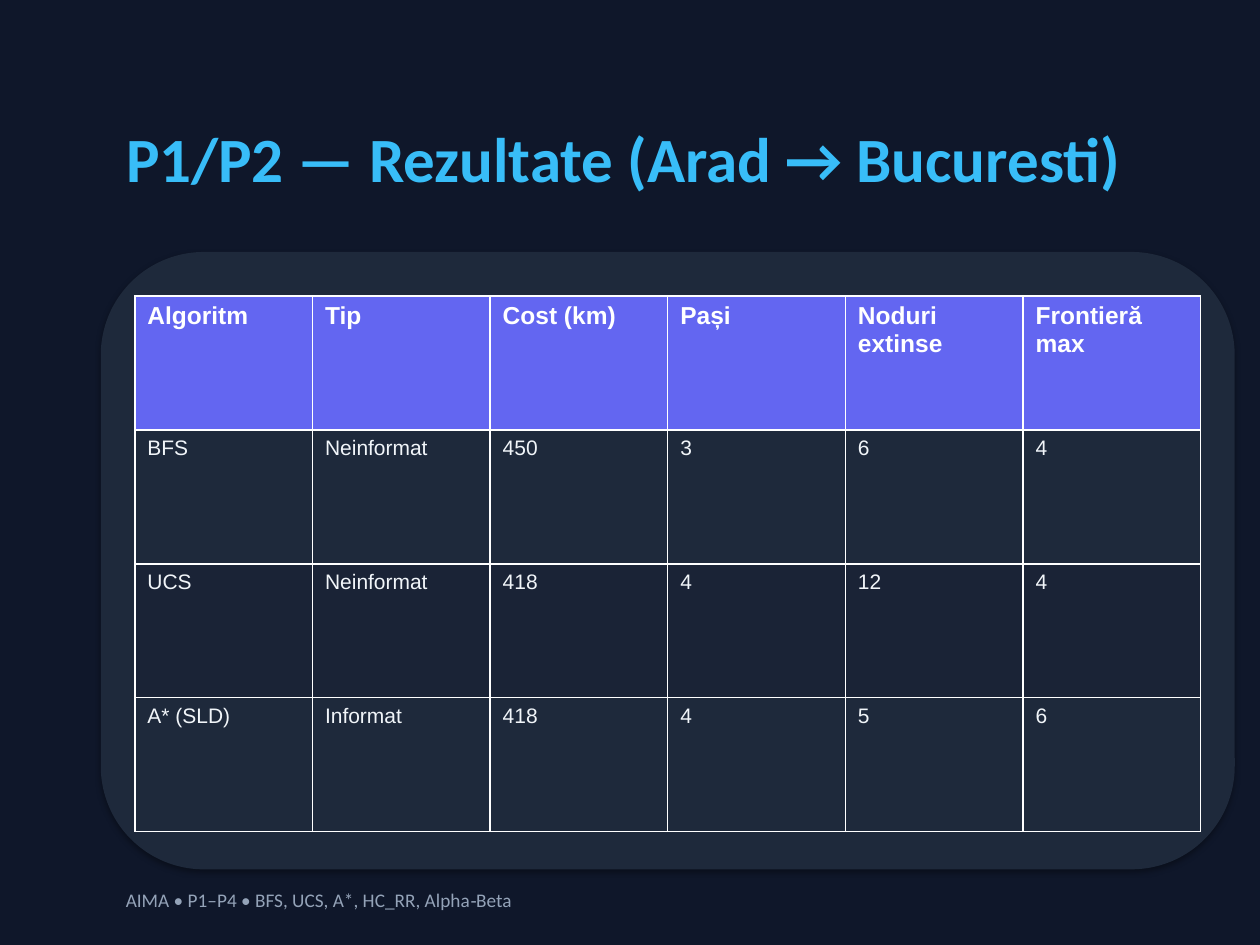
from pptx import Presentation
from pptx.dml.color import RGBColor
from pptx.enum.shapes import MSO_SHAPE
from pptx.enum.text import MSO_ANCHOR, PP_ALIGN
from pptx.util import Emu, Pt

RECT, ROUND = MSO_SHAPE.RECTANGLE, MSO_SHAPE.ROUNDED_RECTANGLE
TOP, LEFT = MSO_ANCHOR.TOP, PP_ALIGN.LEFT
TITLE_ONLY = 5
SCALE = 9144  # EMU in one px, 100 px to the inch

NIGHT, SLATE, BAND, INDIGO = "0F172A", "1E293B", "1A2336", "6366F1"
SKY, WHITE, PALE, GREY = "38BDF8", "FFFFFF", "F1F5F9", "94A3B8"

ROWS = [
    ["Algoritm", "Tip", "Cost (km)", "Pași", "Noduri extinse", "Frontieră max"],
    ["BFS", "Neinformat", "450", "3", "6", "4"],
    ["UCS", "Neinformat", "418", "4", "12", "4"],
    ["A* (SLD)", "Informat", "418", "4", "5", "6"],
]


def px(num):
    return Emu(round(num * SCALE))


def paint(fill, color):
    fill.solid()
    fill.fore_color.rgb = RGBColor.from_string(color)


def write(frame, text, size=12, color=PALE, font="Arial", bold=False):
    frame.text = text
    par = frame.paragraphs[0]
    par.alignment = LEFT
    face = par.runs[0].font
    face.name, face.size, face.bold = font, Pt(size), bold
    face.color.rgb = RGBColor.from_string(color)


def panel(slide, kind, box, color):
    # The theme's soft shadow is kept
    shape = slide.shapes.add_shape(kind, *map(px, box))
    paint(shape.fill, color)
    shape.line.fill.background()
    return shape


def heading(slide, box, text):
    title = slide.shapes.title
    title.left, title.top, title.width, title.height = map(px, box)
    write(title.text_frame, text, size=36, color=SKY, font="Calibri", bold=True)
    title.text_frame.vertical_anchor = TOP
    return title


def results(slide, box):
    left, top, width, height = box
    card = panel(slide, ROUND, box, SLATE)
    card.adjustments[0] = 0.167

    # Table inside the card
    wide, high = width - 54, height - 65
    grid = slide.shapes.add_table(
        len(ROWS), len(ROWS[0]), px(left + 27), px(top + 35), px(wide), px(high)
    ).table
    for r, row in enumerate(ROWS):
        for c, text in enumerate(row):
            cell = grid.cell(r, c)
            if r == 0:
                paint(cell.fill, INDIGO)
                write(cell.text_frame, text, size=14, color=WHITE, bold=True)
            else:
                paint(cell.fill, SLATE if r % 2 else BAND)
                write(cell.text_frame, text)


def footer(slide, box, text):
    note = slide.shapes.add_textbox(*map(px, box))
    note.text_frame.word_wrap = True
    write(note.text_frame, text, size=11, color=GREY, font="Calibri")


def main():
    deck = Presentation()
    deck.slide_width, deck.slide_height = px(1000), px(750)
    slide = deck.slides.add_slide(deck.slide_layouts[TITLE_ONLY])

    # Backdrop goes behind the title
    title = heading(slide, (90, 90, 1160, 71), "P1/P2 — Rezultate (Arad → Bucuresti)")
    back = panel(slide, RECT, (0, 0, 1000, 750), NIGHT)
    title.element.addprevious(back.element)

    results(slide, (80, 200, 900, 490))
    footer(slide, (90, 700, 1160, 40), "AIMA • P1–P4 • BFS, UCS, A*, HC_RR, Alpha‑Beta")
    deck.save("out.pptx")


if __name__ == "__main__":
    main()
